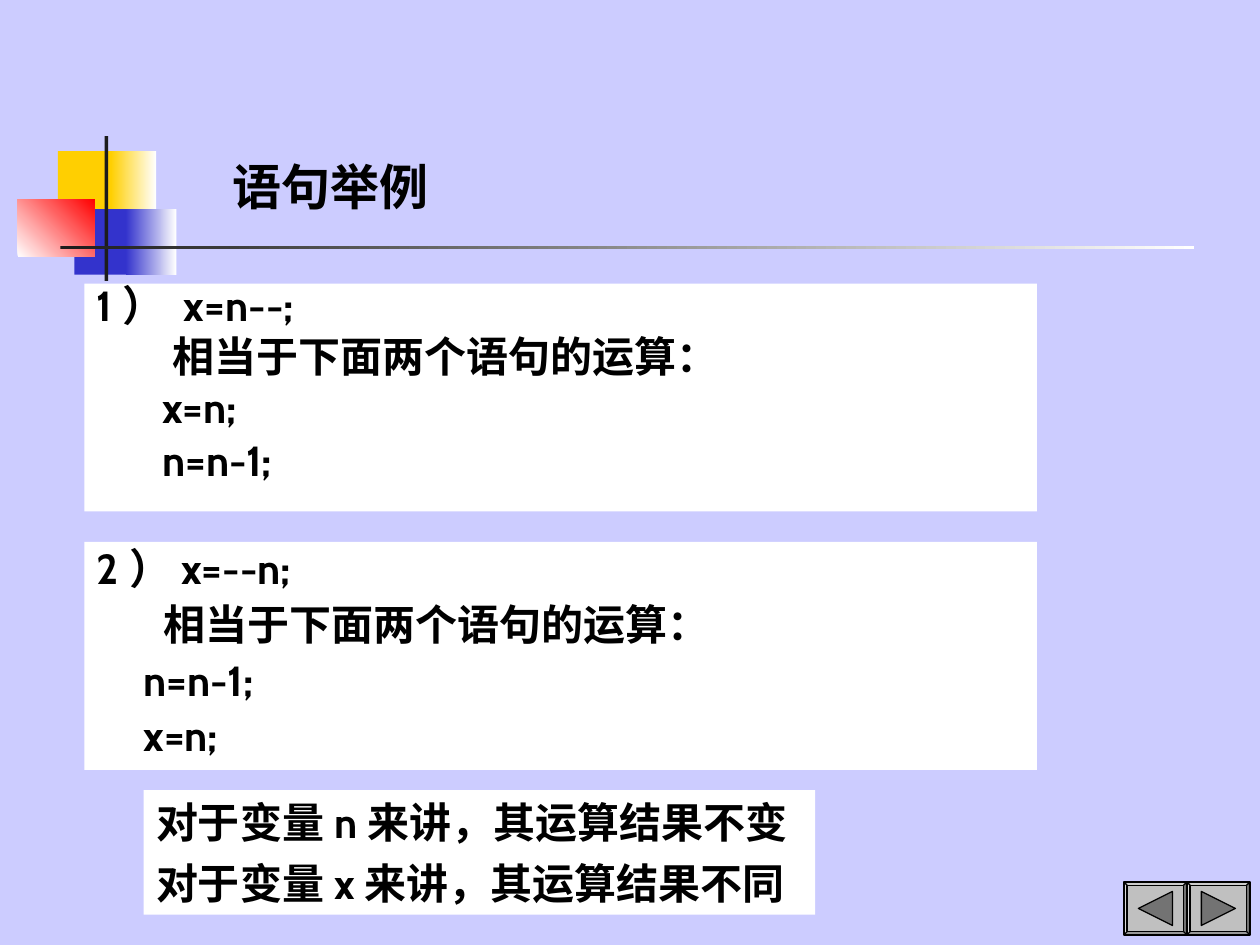
import pptx
import pptx.dml.color
import pptx.enum.shapes
import pptx.enum.text
import pptx.util

Inches = pptx.util.Inches
Pt = pptx.util.Pt
RGBColor = pptx.dml.color.RGBColor
Shapes = pptx.enum.shapes.MSO_SHAPE
Anchor = pptx.enum.text.MSO_ANCHOR
Align = pptx.enum.text.PP_ALIGN

LAVENDER = RGBColor(0xCC, 0xCC, 0xFF)
YELLOW = RGBColor(0xFF, 0xCF, 0x01)
BLUE = RGBColor(0x33, 0x33, 0xCC)
RED = RGBColor(0xFF, 0x00, 0x00)
CHARCOAL = RGBColor(0x1C, 0x1C, 0x1C)
SILVER = RGBColor(0xC0, 0xC0, 0xC0)
GRAY = RGBColor(0x73, 0x73, 0x73)
BLACK = RGBColor(0x00, 0x00, 0x00)
WHITE = RGBColor(0xFF, 0xFF, 0xFF)

LATIN = "Cabin"
CHINESE = "Times New Roman"


class SlideBuilder:
    def __init__(self, slide):
        self.slide = slide

    def background(self, color):
        fill = self.slide.background.fill
        fill.solid()
        fill.fore_color.rgb = color

    def block(self, box, color, end_color=None, angle=0):
        """Draw a rectangle, shaded towards end_color when one is given."""
        shape = self.slide.shapes.add_shape(Shapes.RECTANGLE, *map(Inches, box))
        shape.shadow.inherit = False
        shape.line.fill.background()
        if end_color is None:
            shape.fill.solid()
            shape.fill.fore_color.rgb = color
        else:
            shape.fill.gradient()
            shape.fill.gradient_angle = angle
            for stop, stop_color in zip(shape.fill.gradient_stops, (color, end_color)):
                stop.color.rgb = stop_color

    def text(self, box, paragraphs, size=24, fill=None, anchor=Anchor.TOP,
             align=Align.JUSTIFY, line_spacing=1.0):
        """Each paragraph is (indent in inches, space before in points, runs)."""
        shape = self.slide.shapes.add_textbox(*map(Inches, box))
        if fill is not None:
            shape.fill.solid()
            shape.fill.fore_color.rgb = fill
        frame = shape.text_frame
        frame.word_wrap = True
        frame.vertical_anchor = anchor
        for index, (indent, space_before, runs) in enumerate(paragraphs):
            paragraph = frame.add_paragraph() if index else frame.paragraphs[0]
            paragraph.alignment = align
            paragraph.line_spacing = line_spacing
            paragraph.space_before = Pt(space_before)
            if indent:
                paragraph._p.get_or_add_pPr().set("marL", str(Inches(indent)))
            for words, font_name in runs:
                run = paragraph.add_run()
                run.text = words
                run.font.name = font_name
                run.font.size = Pt(size)
                run.font.bold = True
                run.font.color.rgb = BLACK

    def button(self, left, direction):
        """Draw a bevelled button whose arrow points left (-1) or right (1)."""
        top, width, height = 7, 0.5, 0.42
        bevel = self.slide.shapes.add_shape(
            Shapes.BEVEL, Inches(left), Inches(top), Inches(width), Inches(height))
        bevel.adjustments[0] = 0.06
        center_x, center_y = left + width / 2, top + height / 2
        tip = center_x + direction * 0.135
        base = center_x - direction * 0.135
        builder = self.slide.shapes.build_freeform(Inches(tip), Inches(center_y))
        builder.add_line_segments(
            [(Inches(base), Inches(center_y + offset)) for offset in (-0.135, 0.135)])
        arrow = builder.convert_to_shape()
        for shape, color in ((bevel, SILVER), (arrow, GRAY)):
            shape.shadow.inherit = False
            shape.fill.solid()
            shape.fill.fore_color.rgb = color
            shape.line.color.rgb = BLACK
            shape.line.width = Pt(0.75)


def main():
    presentation = pptx.Presentation()
    presentation.slide_width = Inches(10)
    presentation.slide_height = Inches(7.5)
    builder = SlideBuilder(presentation.slides.add_slide(presentation.slide_layouts[6]))
    builder.background(LAVENDER)

    builder.block((0.46, 1.2, 0.48, 0.52), YELLOW)
    builder.block((0.88, 1.2, 0.36, 0.52), YELLOW, WHITE)
    builder.block((0.59, 1.66, 0.46, 0.52), BLUE)
    builder.block((1, 1.66, 0.4, 0.52), BLUE, WHITE)
    builder.block((0.14, 1.58, 0.61, 0.46), WHITE, RED, angle=45)
    builder.block((0.83, 1.08, 0.03, 1.15), CHARCOAL)
    builder.block((0.48, 1.95, 9, 0.03), CHARCOAL, WHITE)

    builder.text((1.75, 1.08, 2.57, 0.68), [(0, 0, [("语句举例", LATIN)])],
                 size=28, anchor=Anchor.BOTTOM, align=Align.LEFT)

    equivalent = [("相当于下面两个语句的运算：", CHINESE)]
    builder.text((0.67, 2.25, 7.56, 1.81), [
        (0, 0, [("1） x=n--;", LATIN)]),
        (0.6, 6, equivalent),
        (0.52, 6, [("x=n;", LATIN)]),
        (0.52, 7, [("n=n-1;", LATIN)]),
    ], fill=WHITE, line_spacing=0.8)

    builder.text((1.14, 6.27, 5.33, 0.99), [
        (0, space_before, [("对于变量", CHINESE), (variable, LATIN),
                           ("来讲，其运算结果不" + ending, CHINESE)])
        for space_before, variable, ending in ((0, "n", "变"), (6, "x", "同"))
    ], fill=WHITE)

    builder.text((0.67, 4.3, 7.56, 1.81), [
        (0, 0, [("2）x=--n;", LATIN)]),
        (0.53, 6, equivalent),
        (0.37, 6, [("n=n-1;", LATIN)]),
        (0.37, 6, [("x=n;", LATIN)]),
    ], fill=WHITE, line_spacing=0.9)

    builder.button(9.42, 1)
    builder.button(8.92, -1)
    presentation.save("out.pptx")


if __name__ == "__main__":
    main()
